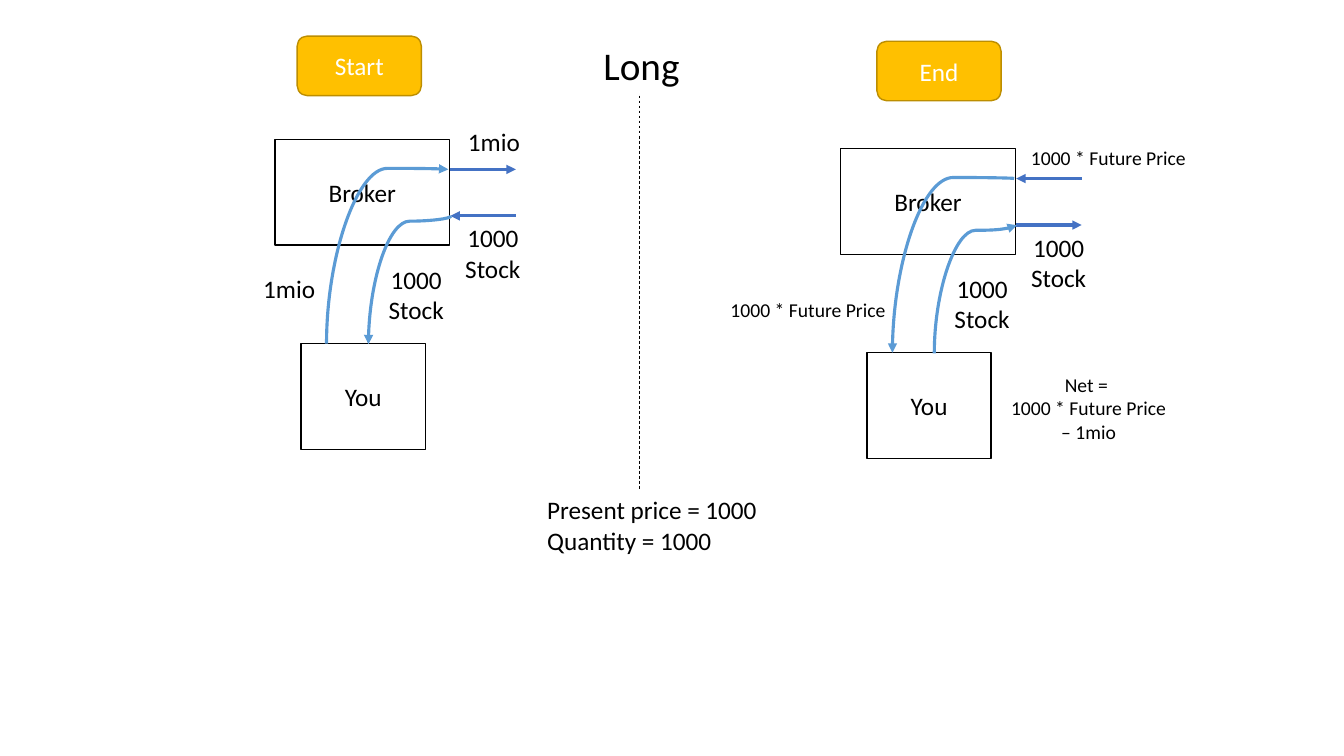
import pptx
import pptx.util
import pptx.dml.color
import pptx.enum.dml
import pptx.enum.shapes
import pptx.enum.text
import pptx.oxml.ns
import lxml.etree

Cm = pptx.util.Cm
Pt = pptx.util.Pt
RGBColor = pptx.dml.color.RGBColor
MSO_SHAPE = pptx.enum.shapes.MSO_SHAPE
MSO_CONNECTOR = pptx.enum.shapes.MSO_CONNECTOR
PP_ALIGN = pptx.enum.text.PP_ALIGN
qn = pptx.oxml.ns.qn

BLACK = RGBColor(0x00, 0x00, 0x00)
WHITE = RGBColor(0xFF, 0xFF, 0xFF)
GOLD = RGBColor(0xFF, 0xC0, 0x00)
DARK_GOLD = RGBColor(0xBD, 0x8E, 0x00)
BLUE = RGBColor(0x44, 0x72, 0xC4)
LIGHT_BLUE = RGBColor(0x5B, 0x9B, 0xD5)

prs = pptx.Presentation()
prs.slide_width = Cm(33.87)
prs.slide_height = Cm(19.05)
s = prs.slides.add_slide(prs.slide_layouts[6])


def add_text(box, text, size=18, color=BLACK, fill=None, line=None, align=PP_ALIGN.CENTER, shape=None):
    lengths = [Cm(v) for v in box]
    if shape is None:
        sp = s.shapes.add_textbox(*lengths)
    else:
        sp = s.shapes.add_shape(shape, *lengths)
        sp.shadow.inherit = False
        sp.fill.solid()
        sp.fill.fore_color.rgb = fill
        sp.line.color.rgb = line
        sp.line.width = Pt(1)
    tf = sp.text_frame
    tf.word_wrap = True
    if shape is None:
        tf.auto_size = pptx.enum.text.MSO_AUTO_SIZE.SHAPE_TO_FIT_TEXT
    else:
        tf.vertical_anchor = pptx.enum.text.MSO_ANCHOR.MIDDLE
    for i, words in enumerate(text.split("\n")):
        p = tf.add_paragraph() if i else tf.paragraphs[0]
        p.alignment = align
        r = p.add_run()
        r.text = words
        r.font.size = Pt(size)
        r.font.name = "Calibri"
        r.font.color.rgb = color


def add_line(kind, ends, color, width, arrow=None):
    c = s.shapes.add_connector(kind, *[Cm(v) for v in ends])
    c.line.color.rgb = color
    c.line.width = Pt(width)
    lxml.etree.SubElement(c._element.spPr, qn("a:effectLst"))
    if arrow:
        lxml.etree.SubElement(c.line._ln, qn("a:" + arrow)).set("type", "triangle")
    return c


for title, x, y in [("Start", 7.49, 0.91), ("End", 22.1, 1.04)]:
    add_text((x, y, 3.13, 1.5), title, color=WHITE, fill=GOLD, line=DARK_GOLD,
             shape=MSO_SHAPE.ROUNDED_RECTANGLE)

for dx, dy, arrow in [(0, 0, "tailEnd"), (14.26, 0.23, "headEnd")]:
    add_text((6.93 + dx, 3.51 + dy, 4.4, 2.67), "Broker", fill=WHITE, line=BLACK,
             shape=MSO_SHAPE.RECTANGLE)
    add_text((7.59 + dx, 8.66 + dy, 3.13, 2.67), "You", fill=WHITE, line=BLACK,
             shape=MSO_SHAPE.RECTANGLE)

    for x1, x2, y in [(13, 11.35, 5.44), (11.35, 13, 4.27)]:
        add_line(MSO_CONNECTOR.STRAIGHT, (x1 + dx, y + dy, x2 + dx, y + dy), BLUE, 2.25, arrow)

    for x1, y1, x2, y2, bend in [(11.96, 8, 7.57, 4.93, 100600), (8.71, 6.02, 11.94, 8.1, 4000)]:
        c = add_line(MSO_CONNECTOR.CURVE, (x1 + dx, y1 + dy, x2 + dx, y2 + dy),
                     LIGHT_BLUE, 2.25, arrow)
        c._element.spPr.find(qn("a:xfrm")).set("rot", "5400000")
        geom = c._element.spPr.find(qn("a:prstGeom"))
        guides = geom.find(qn("a:avLst"))
        if guides is None:
            guides = lxml.etree.SubElement(geom, qn("a:avLst"))
        gd = lxml.etree.SubElement(guides, qn("a:gd"))
        gd.set("name", "adj1")
        gd.set("fmla", f"val {bend}")

    for x, y in [(11.3, 5.49), (9.37, 6.53)]:
        add_text((x + dx, y + dy, 2.24, 1.8), "1000\nStock")

for x, y in [(6.17, 6.76), (11.33, 3.05)]:
    add_text((x, y, 2.24, 1.02), "1mio")

for x, y, h, text in [
    (25.6, 3.56, 0.86, "1000 * Future Price"),
    (18.03, 7.39, 0.86, "1000 * Future Price"),
    (25.1, 9.27, 2.06, "Net = \n1000 * Future Price – 1mio"),
]:
    add_text((x, y, 4.67, h), text, size=14)

divider = add_line(MSO_CONNECTOR.STRAIGHT, (16.1, 2.41, 16.1, 12.34), BLACK, 0.5)
divider.line.dash_style = pptx.enum.dml.MSO_LINE.DASH

add_text((14.3, 0.91, 3.73, 1.45), "Long", size=28)
add_text((13.54, 12.34, 7.39, 1.8), "Present price = 1000\nQuantity = 1000", align=PP_ALIGN.LEFT)

prs.save("out.pptx")
